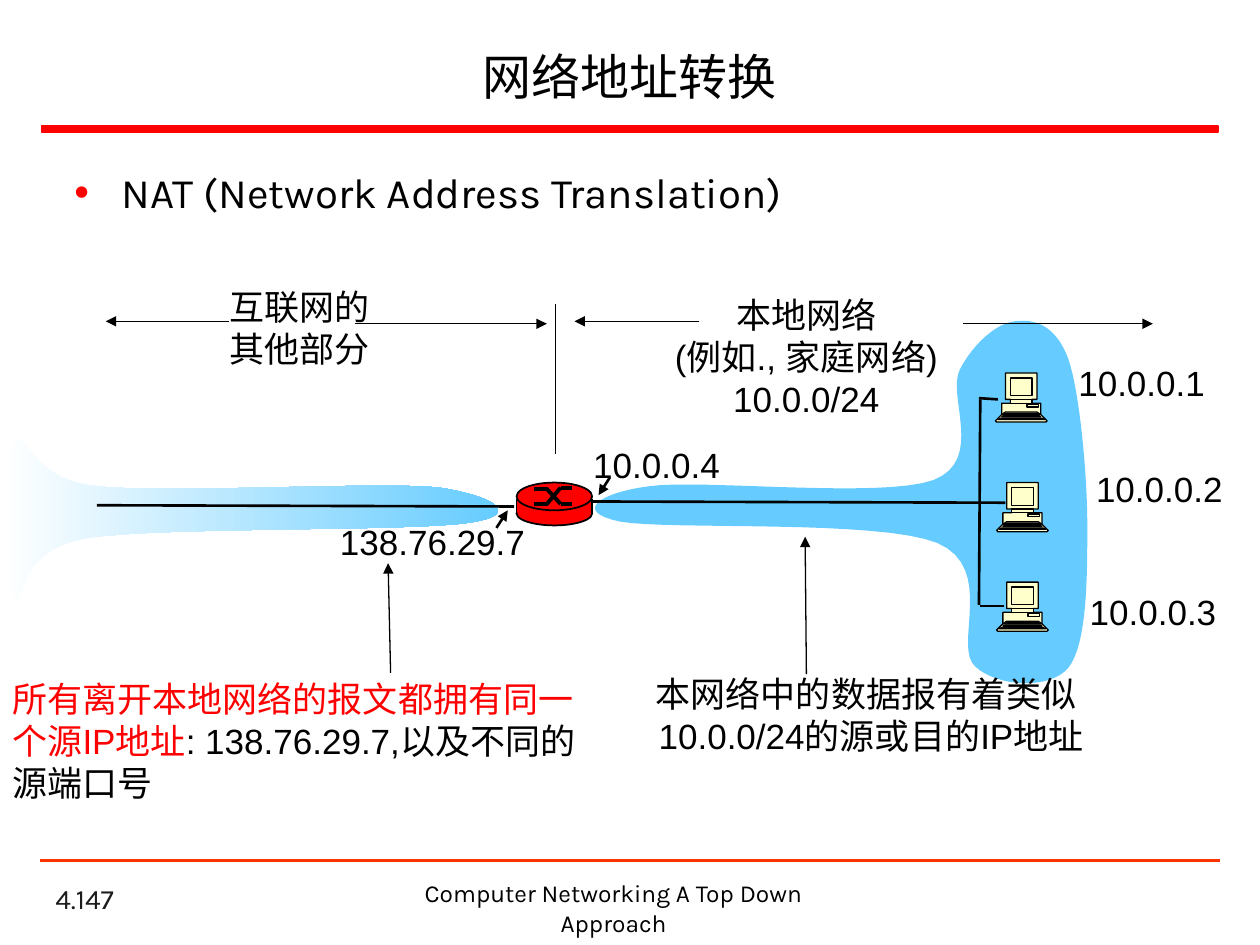
from lxml.etree import SubElement
from pptx import Presentation
from pptx.dml.color import RGBColor
from pptx.enum.shapes import MSO_CONNECTOR, MSO_SHAPE
from pptx.enum.text import MSO_ANCHOR, MSO_AUTO_SIZE, PP_ALIGN
from pptx.oxml.ns import qn
from pptx.util import Pt

PX = 9144  # EMU per px, on a slide of 1000 by 750 px
BLACK, RED, BLUE, CREAM = "000000", "FF0000", "66CCFF", "FFFFCC"
LEFT, CENTER = PP_ALIGN.LEFT, PP_ALIGN.CENTER
color = RGBColor.from_string


def add_line(shapes, ends, width, arrow=False, line_color=BLACK):
    """Draw a straight line; an arrow points at its second end."""
    connector = shapes.add_connector(MSO_CONNECTOR.STRAIGHT, *[value * PX for value in ends])
    connector.line.width = Pt(width)
    connector.line.color.rgb = color(line_color)
    properties = connector._element.spPr
    if arrow:
        SubElement(properties.find(qn("a:ln")), qn("a:tailEnd"), type="triangle")
    SubElement(properties, qn("a:effectLst"))


def paint(shape, fill, line=None, width=1):
    shape.shadow.inherit = False
    shape.fill.solid()
    shape.fill.fore_color.rgb = color(fill)
    if line:
        shape.line.color.rgb = color(line)
        shape.line.width = Pt(width)
    else:
        shape.line.fill.background()


presentation = Presentation()
presentation.slide_width, presentation.slide_height = 1000 * PX, 750 * PX
slide = presentation.slides.add_slide(presentation.slide_layouts[1])
shapes = slide.shapes

# Title and bullet
title, body = slide.placeholders
for placeholder, box, text, size, alignment, anchor in [
    (title, (37, 25, 925, 70), "网络地址转换", 28, CENTER, MSO_ANCHOR.MIDDLE),
    (body, (49, 127, 900, 71), "NAT (Network Address Translation)", 24, LEFT, MSO_ANCHOR.TOP),
]:
    placeholder.left, placeholder.top, placeholder.width, placeholder.height = [
        value * PX for value in box]
    frame = placeholder.text_frame
    frame.auto_size = MSO_AUTO_SIZE.NONE
    frame.vertical_anchor = anchor
    paragraph = frame.paragraphs[0]
    if placeholder is body:
        bullet_color = SubElement(paragraph._p.get_or_add_pPr(), qn("a:buClr"))
        SubElement(bullet_color, qn("a:srgbClr"), val=RED)
    paragraph.alignment = alignment
    paragraph.space_before = Pt(0)
    run = paragraph.add_run()
    run.text = text
    run.font.name = "Karla"
    run.font.size = Pt(size)
    run.font.color.rgb = color(BLACK)

# Rules under the title and above the footer
title_rule = shapes.add_shape(
    MSO_SHAPE.RECTANGLE, 33 * PX, 100 * PX, 934 * PX, 5 * PX)
paint(title_rule, RED, RED)
add_line(shapes, (32, 683, 968, 683), 1.5, line_color="FF3300")

# Network clouds: a start point, then two controls and an end point per curve
local_cloud = [
    (515, 386),
    (556, 380), (700, 396), (741, 381), (782, 365), (751, 314), (762, 293),
    (773, 272), (792, 256), (806, 255), (821, 253), (838, 258), (848, 285),
    (857, 312), (863, 376), (863, 417), (863, 458), (863, 511), (848, 530),
    (833, 548), (791, 545), (774, 529), (756, 513), (791, 451), (744, 431),
    (697, 412), (531, 421), (492, 414), (454, 406), (476, 391), (515, 386),
]
internet_cloud = [
    (348, 387),
    (299, 382), (133, 392), (77, 386), (21, 381), (22, 337), (11, 352),
    (0, 366), (1, 460), (11, 473), (21, 486), (9, 437), (69, 427),
    (129, 418), (325, 422), (372, 415), (418, 408), (389, 393), (348, 387),
]
STEPS = 16
for cloud in (local_cloud, internet_cloud):
    outline = []
    for first in range(0, len(cloud) - 1, 3):
        curve = cloud[first:first + 4]
        for step in range(1, STEPS + 1):
            t = step / STEPS
            weights = ((1 - t) ** 3, 3 * t * (1 - t) ** 2, 3 * t * t * (1 - t), t ** 3)
            outline.append([
                PX * sum(weight * point[axis] for weight, point in zip(weights, curve))
                for axis in (0, 1)])
    builder = shapes.build_freeform(*outline[-1])
    builder.add_line_segments(outline)
    shape = builder.convert_to_shape()
    paint(shape, BLUE)
    if cloud is internet_cloud:
        shape.fill.gradient()
        shape.fill.gradient_angle = 0
        for stop, stop_color in zip(shape.fill.gradient_stops, ("FFFFFF", BLUE)):
            stop.color.rgb = color(stop_color)

# Cables
for ends in [
    (467, 398, 798, 399), (778, 317, 777, 480), (777, 316, 792, 317),
    (778, 481, 797, 481), (77, 401, 408, 402),
]:
    add_line(shapes, ends, 1.5)

# Router
router = shapes.add_group_shape().shapes
for kind, box, line in [
    (MSO_SHAPE.OVAL, (410, 398, 60, 19), BLACK),
    (MSO_SHAPE.RECTANGLE, (410, 396, 60, 11), None),
    (MSO_SHAPE.OVAL, (410, 383, 60, 22), BLACK),
]:
    paint(router.add_shape(kind, *[value * PX for value in box]), RED, line)
for x in (410, 470):
    add_line(router, (x, 396, x, 408), 1)
for ends in [
    (424, 388, 435, 388), (434, 388, 445, 400), (445, 400, 454, 400),
    (424, 400, 435, 400), (434, 400, 445, 387), (445, 387, 454, 387),
]:
    add_line(router, ends, 2.25)

# Pointers to the addresses, range arrows and the border between the networks
for ends in [(484, 379, 475, 393), (394, 419, 403, 405)]:
    add_line(shapes, ends, 1.5, arrow=True)
for ends in [
    (764, 257, 915, 257), (555, 255, 456, 255), (282, 257, 434, 257),
    (182, 255, 84, 255), (310, 534, 308, 447), (640, 535, 639, 426),
]:
    add_line(shapes, ends, 0.75, arrow=True)
add_line(shapes, (441, 241, 441, 360), 0.75)

# Labels: box, wrap, alignment, then paragraphs made of (text, colour) runs
labels = [
    ((846, 282, 121, 44), False, LEFT, [[("10.0.0.1", BLACK)]]),
    ((860, 366, 121, 44), False, LEFT, [[("10.0.0.2", BLACK)]]),
    ((855, 464, 121, 44), False, LEFT, [[("10.0.0.3", BLACK)]]),
    ((461, 347, 121, 44), False, LEFT, [[("10.0.0.4", BLACK)]]),
    ((260, 408, 174, 44), False, LEFT, [[("138.76.29.7", BLACK)]]),
    ((525, 228, 230, 111), True, CENTER,
     [[("本地网络", BLACK)], [("(例如., 家庭网络)", BLACK)], [("10.0.0/24", BLACK)]]),
    ((172, 222, 131, 77), False, CENTER, [[("互联网的", BLACK)], [("其他部分", BLACK)]]),
    ((504, 529, 367, 77), True, CENTER,
     [[("本网络中的数据报有着类似", BLACK)], [(" 10.0.0/24的源或目的IP地址", BLACK)]]),
    ((0, 533, 492, 110), True, LEFT,
     [[("所有离开本地网络的报文都拥有同一个源IP地址", RED),
       (": 138.76.29.7,以及不同的源端口号", BLACK)]]),
]
footers = [
    ((34, 698, 208, 33), True, LEFT, [[("4.147", "1C1C1C")]]),
    ((283, 692, 408, 34), True, CENTER,
     [[("Computer Networking A Top Down Approach", BLACK)]]),
]
fonts = [("Arial", 20)] * len(labels) + [("Karla", 16), ("Karla", 14)]
for (box, wrap, alignment, paragraphs), (font_name, size) in zip(labels + footers, fonts):
    frame = shapes.add_textbox(*[value * PX for value in box]).text_frame
    frame.word_wrap = wrap
    if font_name == "Arial":
        frame.auto_size = MSO_AUTO_SIZE.SHAPE_TO_FIT_TEXT
    elif alignment == LEFT:
        frame.vertical_anchor = MSO_ANCHOR.BOTTOM
    for index, runs in enumerate(paragraphs):
        paragraph = frame.add_paragraph() if index else frame.paragraphs[0]
        paragraph.alignment = alignment
        for text, text_color in runs:
            run = paragraph.add_run()
            run.text = text
            run.font.name = font_name
            run.font.size = Pt(size)
            run.font.color.rgb = color(text_color)

# Computers: case outline, keyboard rows, drive slot, screen and neck
computer_parts = [
    [(40, 37), (36, 33), (36, 24), (29, 24), (29, 21), (33, 21), (33, 0), (8, 0), (8, 21),
     (12, 21), (12, 24), (5, 24), (5, 33), (1, 37), (0, 38), (1, 39), (40, 39), (41, 38)],
    [(5, 33), (8, 31), (33, 31), (36, 33)],
    [(7, 33), (8, 32), (33, 32), (34, 33)],
    [(5, 35), (6, 34), (35, 34), (36, 35)],
    [(2, 37), (4, 36), (37, 36), (39, 37)],
    [(25, 25), (25, 27), (34, 27), (34, 25)],
    [(12, 4), (12, 18), (29, 18), (29, 4)],
    [(12, 21), (29, 21), (29, 24), (12, 24)],
]
for left, top in [(790, 296), (791, 383), (791, 462)]:
    computer = shapes.add_group_shape().shapes
    for part in computer_parts:
        builder = computer.build_freeform(*part[0], scale=PX)
        builder.add_line_segments(part[1:])
        paint(builder.convert_to_shape(left * PX, top * PX), CREAM, BLACK, 0.75)

presentation.save("out.pptx")
